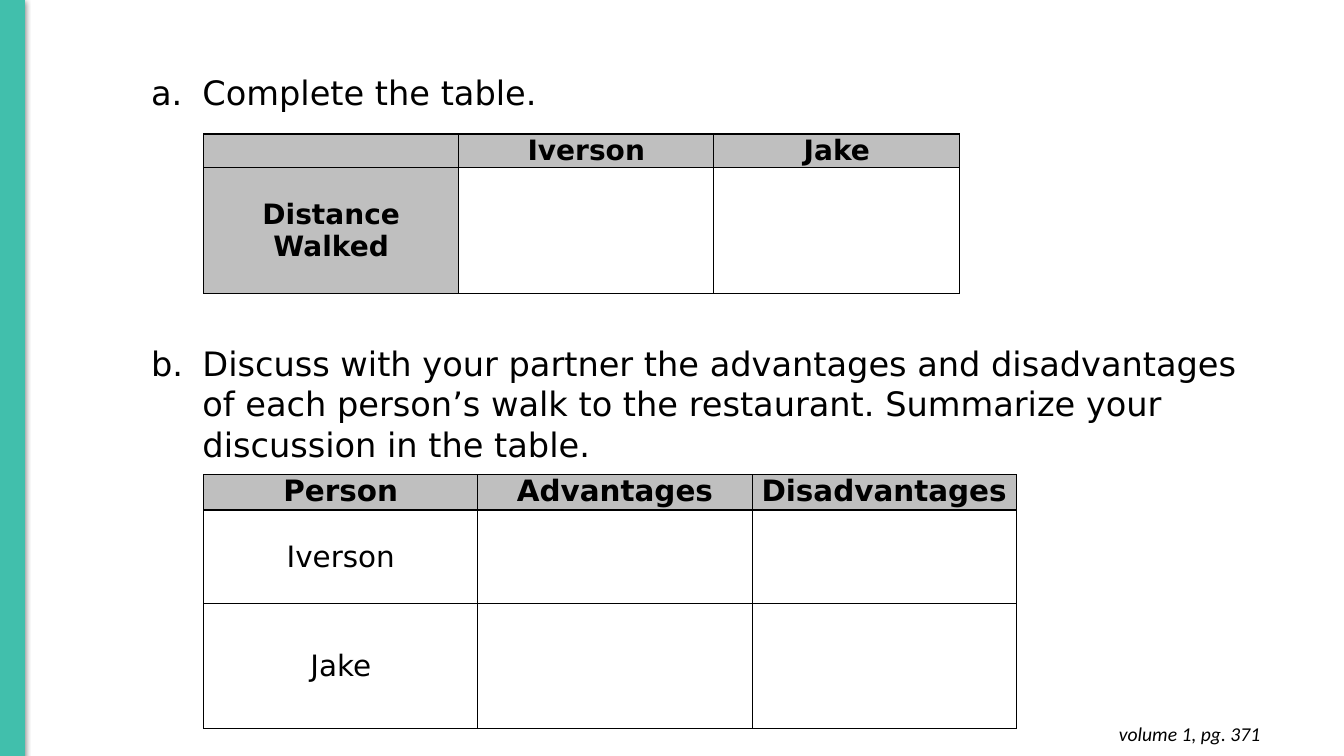
from lxml import etree
from pptx import Presentation
from pptx.dml.color import RGBColor
from pptx.enum.shapes import MSO_SHAPE
from pptx.enum.text import MSO_ANCHOR, PP_ALIGN
from pptx.oxml import parse_xml
from pptx.oxml.ns import nsdecls, qn
from pptx.util import Inches, Pt

RECTANGLE = MSO_SHAPE.RECTANGLE
MIDDLE, TOP = MSO_ANCHOR.MIDDLE, MSO_ANCHOR.TOP
CENTER, RIGHT = PP_ALIGN.CENTER, PP_ALIGN.RIGHT

WIDTH, HEIGHT = 13.33, 7.5
TEAL, GREY, BLACK = "41BFAC", "BFBFBF", "000000"
BODY_FONT, FOOTER_FONT = "DejaVu Sans", "Calibri"
TABLE_LEFT = 2.02

QUESTIONS = [
    "Complete the table.",
    "Discuss with your partner the advantages and disadvantages of each "
    "person’s walk to the restaurant. Summarize your discussion in the table.",
]
DISTANCES = [["", "Iverson", "Jake"], ["Distance Walked", "", ""]]
OPINIONS = [
    ["Person", "Advantages", "Disadvantages"],
    ["Iverson", "", ""],
    ["Jake", "", ""],
]


def color(value):
    return RGBColor.from_string(value)


def apply_format(target, values):
    for name, value in values.items():
        setattr(target, name, value)


def add_run(paragraph, text, **values):
    run = paragraph.add_run()
    run.text = text
    apply_format(run.font, values)
    run.font.color.rgb = color(BLACK)


def add_text_frame(slide, box, margins):
    frame = slide.shapes.add_textbox(*map(Inches, box)).text_frame
    frame.word_wrap = True
    sides = ("margin_left", "margin_top", "margin_right", "margin_bottom")
    apply_format(frame, dict(zip(sides, map(Inches, margins))))
    return frame


def add_side_bar(slide, box):
    bar = slide.shapes.add_shape(RECTANGLE, *map(Inches, box))
    bar.fill.solid()
    bar.fill.fore_color.rgb = color(TEAL)
    bar.line.color.rgb = color(TEAL)
    bar.line.width = Pt(0.75)
    bar.shadow.inherit = False
    effects = bar._element.spPr.find(qn("a:effectLst"))
    effects.append(parse_xml(
        f'<a:outerShdw {nsdecls("a")} blurRad="{Pt(4.5)}" dist="{Pt(1.5)}" '
        f'dir="5400000" rotWithShape="0"><a:srgbClr val="{BLACK}">'
        '<a:alpha val="50000"/></a:srgbClr></a:outerShdw>'
    ))


def add_questions(slide, box, gap):
    frame = add_text_frame(slide, box, (0.1, 0.05, 0.1, 0.05))
    for index, question in enumerate(QUESTIONS):
        paragraph = frame.add_paragraph() if index else frame.paragraphs[0]
        properties = paragraph._p.get_or_add_pPr()
        properties.set("marL", str(Inches(1)))
        properties.set("indent", str(Inches(-0.51)))
        paragraph.space_before = Pt(gap * index)
        paragraph.space_after = Pt(10)
        bullet_color = etree.SubElement(properties, qn("a:buClr"))
        etree.SubElement(bullet_color, qn("a:srgbClr"), val=BLACK)
        etree.SubElement(properties, qn("a:buFont"), typeface=BODY_FONT)
        etree.SubElement(properties, qn("a:buAutoNum"), type="alphaLcPeriod")
        add_run(paragraph, question, name=BODY_FONT, size=Pt(24))


def add_borders(cell):
    properties = cell._tc.get_or_add_tcPr()
    for side in ("lnL", "lnR", "lnT", "lnB"):
        properties.append(parse_xml(
            f'<a:{side} {nsdecls("a")} w="{Pt(1)}"><a:solidFill>'
            f'<a:srgbClr val="{BLACK}"/></a:solidFill></a:{side}>'
        ))


def fill_cell(cell, text, size, margin, header, top_row):
    add_borders(cell)
    if header:
        cell.fill.solid()
        cell.fill.fore_color.rgb = color(GREY)
    else:
        cell.fill.background()
    apply_format(cell, {
        "margin_left": Inches(margin),
        "margin_right": Inches(margin),
        "margin_top": 0,
        "margin_bottom": 0,
        "vertical_anchor": TOP if top_row else MIDDLE,
    })
    if text:
        paragraph = cell.text_frame.paragraphs[0]
        paragraph.alignment = CENTER
        add_run(paragraph, text, name=BODY_FONT, size=Pt(size), bold=header)


def add_answer_table(slide, top, columns, rows, texts, size, margin, side_header):
    box = (TABLE_LEFT, top, sum(columns), sum(rows))
    frame = slide.shapes.add_table(len(rows), len(columns), *map(Inches, box))
    table = frame.table
    apply_format(table, {"first_row": False, "horz_banding": False})
    for column, width in zip(table.columns, columns):
        column.width = Inches(width)
    for row_index, (row, height) in enumerate(zip(table.rows, rows)):
        row.height = Inches(height)
        for column_index, cell in enumerate(row.cells):
            top_row = row_index == 0
            header = top_row or (side_header and column_index == 0)
            text = texts[row_index][column_index]
            fill_cell(cell, text, size, margin, header, top_row)


def add_page_reference(slide, box):
    frame = add_text_frame(slide, box, (0.1, 0.1, 0.1, 0.1))
    paragraph = frame.paragraphs[0]
    paragraph.alignment = RIGHT
    add_run(paragraph, "volume 1, pg. 371", name=FOOTER_FONT, size=Pt(14), italic=True)


def main():
    presentation = Presentation()
    presentation.slide_width = Inches(WIDTH)
    presentation.slide_height = Inches(HEIGHT)
    slide = presentation.slides.add_slide(presentation.slide_layouts[6])
    add_page_reference(slide, (9.72, 7.06, 2.88, 0.44))
    add_side_bar(slide, (0, 0, 0.24, HEIGHT))
    add_questions(slide, (0.91, 0.66, 11.67, 4.51), 155)
    add_answer_table(slide, 1.33, (2.53, 2.53, 2.44), (0.33, 1.25),
                     DISTANCES, 20, 0.07, True)
    add_answer_table(slide, 4.71, (2.72, 2.72, 2.62), (0.35, 0.93, 1.24),
                     OPINIONS, 21, 0.06, False)
    presentation.save("out.pptx")


if __name__ == "__main__":
    main()
